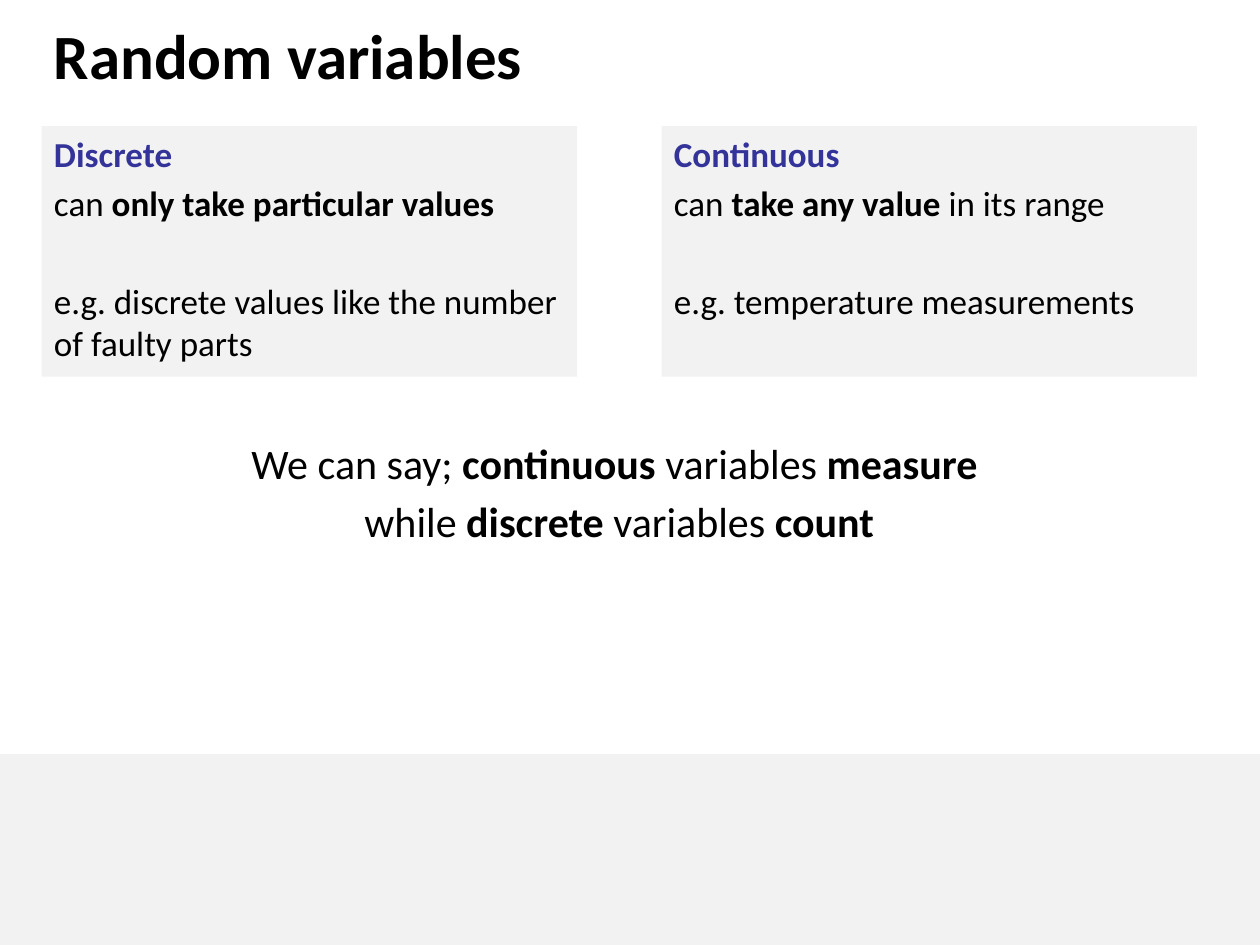
from dataclasses import dataclass

from pptx import Presentation
from pptx.dml.color import RGBColor
from pptx.enum.shapes import MSO_SHAPE
from pptx.enum.text import MSO_ANCHOR, PP_ALIGN
from pptx.util import Inches, Pt


@dataclass(frozen=True)
class Theme:
    font: str = "Calibri"
    ink: RGBColor = RGBColor(0x00, 0x00, 0x00)
    accent: RGBColor = RGBColor(0x33, 0x33, 0x99)
    panel: RGBColor = RGBColor(0xF2, 0xF2, 0xF2)
    title_size: int = 36
    summary_size: int = 24
    body_size: int = 20


THEME = Theme()
LEFT = 0.33


def add_panel(left, top, width, height):
    panel = slide.shapes.add_shape(
        MSO_SHAPE.RECTANGLE, Inches(left), Inches(top), Inches(width), Inches(height)
    )
    panel.shadow.inherit = False
    panel.fill.solid()
    panel.fill.fore_color.rgb = THEME.panel
    panel.line.fill.background()
    return panel


def write(box, paragraphs, size, align=PP_ALIGN.LEFT):
    """Fill a box with paragraphs of (space before, colour, [(text, bold), ...])."""
    frame = box.text_frame
    frame.word_wrap = True
    frame.vertical_anchor = MSO_ANCHOR.TOP
    for index, (space, color, runs) in enumerate(paragraphs):
        paragraph = frame.add_paragraph() if index else frame.paragraphs[0]
        paragraph.alignment = align
        paragraph.space_before = Pt(space)
        for text, bold in runs:
            run = paragraph.add_run()
            run.text = text
            run.font.name = THEME.font
            run.font.size = Pt(size)
            run.font.bold = bold
            run.font.color.rgb = color


prs = Presentation()
prs.slide_width, prs.slide_height = Inches(10), Inches(7.5)
slide = prs.slides.add_slide(prs.slide_layouts[6])

footer = add_panel(0, 6, 10, 1.5)
footer.line.color.rgb = THEME.panel
footer.line.width = Pt(2)

title = slide.shapes.add_textbox(Inches(LEFT), Inches(0.08), Inches(9), Inches(1.25))
write(title, [(0, THEME.ink, [("Random variables", True)])], THEME.title_size)

definitions = [
    (
        LEFT,
        "Discrete",
        [("can ", False), ("only take particular values", True)],
        "e.g. discrete values like the number of faulty parts",
    ),
    (
        5.25,
        "Continuous",
        [("can", False), (" take any value ", True), ("in its range", False)],
        "e.g. temperature measurements",
    ),
]
for left, kind, meaning, example in definitions:
    write(
        add_panel(left, 1, 4.25, 1.99),
        [
            (4, THEME.accent, [(kind, True)]),
            (4, THEME.ink, meaning),
            (32.4, THEME.ink, [(example, False)]),
        ],
        THEME.body_size,
    )

summary = slide.shapes.add_textbox(Inches(LEFT), Inches(3.42), Inches(9.17), Inches(0.99))
write(
    summary,
    [
        (4.8, THEME.ink, [("We can say; ", False), ("continuous", True),
                          (" variables ", False), ("measure ", True)]),
        (4.8, THEME.ink, [("while ", False), ("discrete", True),
                          (" variables ", False), ("count", True)]),
    ],
    THEME.summary_size,
    PP_ALIGN.CENTER,
)

prs.save("out.pptx")
